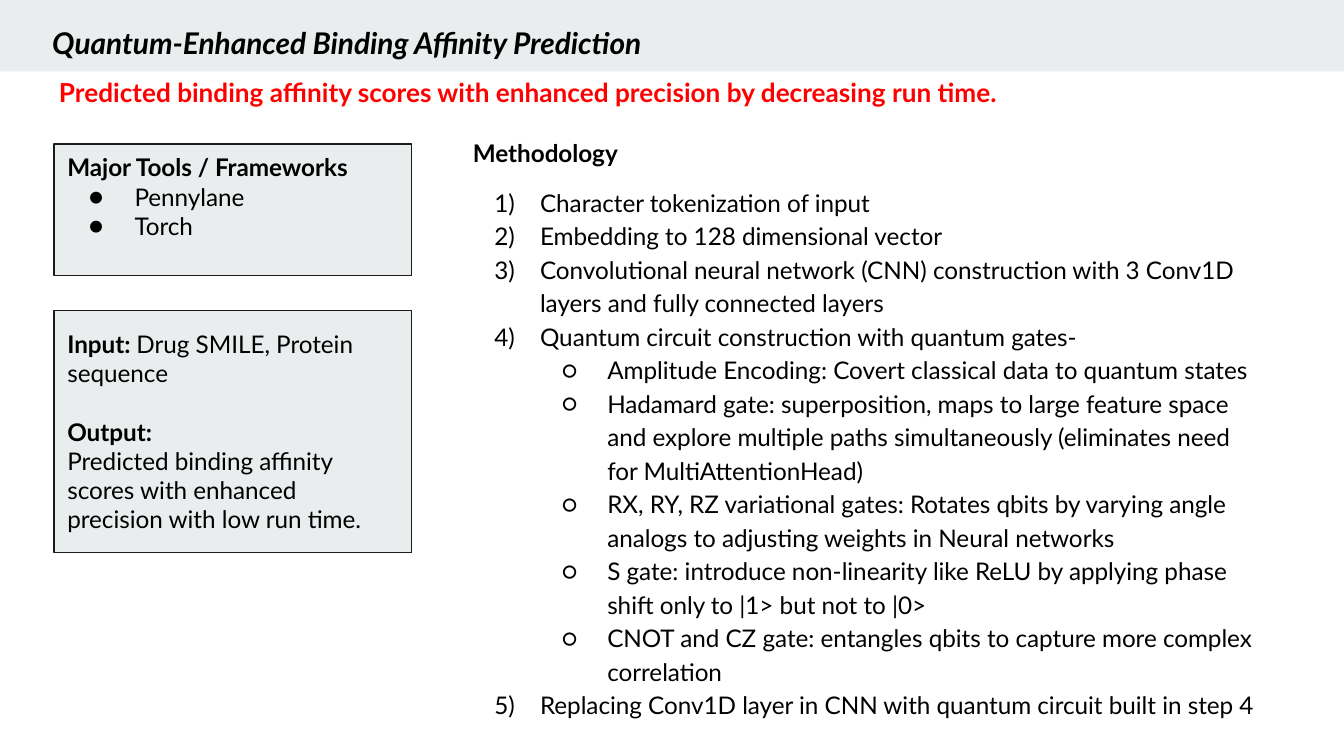
from dataclasses import dataclass
from typing import Optional

from lxml import etree
from pptx import Presentation
from pptx import util as u
from pptx.dml.color import RGBColor
from pptx.enum import shapes, text
from pptx.oxml.ns import qn

BLACK = RGBColor(0x00, 0x00, 0x00)
RED = RGBColor(0xFF, 0x00, 0x00)
PALE = RGBColor(0xE9, 0xED, 0xEE)
OUTLINE = RGBColor(0x1A, 0x1A, 0x1A)

FONT = "Lato"
WIDTH = u.Inches(10)
HEIGHT = WIDTH * 9 // 16
INSET = u.Inches(0.1)
INDENT, HANGING = u.Inches(0.5), u.Inches(0.34)
NUMBER = "arabicParenR"


@dataclass(frozen=True)
class Area:
    """A rectangle in percent of the slide's width and height."""
    left: float
    top: float
    width: float
    height: float

    def lengths(self) -> tuple[int, int, int, int]:
        return (int(WIDTH * self.left / 100), int(HEIGHT * self.top / 100),
                int(WIDTH * self.width / 100), int(HEIGHT * self.height / 100))


@dataclass(frozen=True)
class Line:
    """A paragraph: a bold lead, then plain text, with an optional list mark."""
    bold: str = ""
    plain: str = ""
    mark: Optional[str] = None
    level: int = 0
    spacing: float = 1.0
    before: float = 0


@dataclass(frozen=True)
class Style:
    size: float = 13
    color: RGBColor = BLACK
    italic: bool = False


def add_mark(paragraph, line: Line) -> None:
    properties = paragraph._p.get_or_add_pPr()
    properties.set("marL", str(INDENT * (line.level + 1)))
    properties.set("indent", str(-HANGING))
    etree.SubElement(properties, qn("a:buFont"), typeface=FONT)
    if line.mark == NUMBER:
        etree.SubElement(properties, qn("a:buAutoNum"), type=NUMBER)
    else:
        etree.SubElement(properties, qn("a:buChar"), char=line.mark)


def write(shape, lines: list[Line], style: Style = Style()) -> None:
    frame = shape.text_frame
    frame.word_wrap = True
    frame.margin_left = frame.margin_right = INSET
    frame.margin_top = frame.margin_bottom = INSET
    for index, line in enumerate(lines):
        paragraph = frame.add_paragraph() if index else frame.paragraphs[0]
        paragraph.alignment = text.PP_ALIGN.LEFT
        paragraph.level = line.level
        paragraph.line_spacing = line.spacing
        if line.before:
            paragraph.space_before = u.Pt(line.before)
        if line.mark:
            add_mark(paragraph, line)
        for words, bold in ((line.bold, True), (line.plain, False)):
            if words:
                run = paragraph.add_run()
                run.text = words
                run.font.name = FONT
                run.font.size = u.Pt(style.size)
                run.font.bold = bold
                run.font.italic = style.italic
                run.font.color.rgb = style.color


def add_panel(slide, area: Area, outlined: bool = True):
    panel = slide.shapes.add_shape(shapes.MSO_SHAPE.RECTANGLE, *area.lengths())
    panel.shadow.inherit = False
    panel.fill.solid()
    panel.fill.fore_color.rgb = PALE
    if outlined:
        panel.line.color.rgb = OUTLINE
        panel.line.width = u.Pt(0.75)
    else:
        panel.line.fill.background()
    panel.text_frame.vertical_anchor = text.MSO_ANCHOR.MIDDLE
    return panel


def add_text(slide, area: Area, lines: list[Line], style: Style = Style()) -> None:
    write(slide.shapes.add_textbox(*area.lengths()), lines, style)


def step(words: str, before: float = 0) -> Line:
    return Line(plain=words, mark=NUMBER, spacing=1.15, before=before)


def gate(words: str) -> Line:
    return Line(plain=words, mark="○", level=1, spacing=1.15)


TOOLS = [
    Line("Major Tools / Frameworks"),
    Line(plain="Pennylane", mark="●"),
    Line(plain="Torch", mark="●"),
]
INPUT_OUTPUT = [
    Line("Input: ", "Drug SMILE, Protein sequence"),
    Line("Output:", before=15.6),
    Line(plain="Predicted binding affinity scores with enhanced precision "
               "with low run time."),
]
METHODOLOGY = [
    Line("Methodology"),
    step("Character tokenization of input", before=8.6),
    step("Embedding to 128 dimensional vector"),
    step("Convolutional neural network (CNN) construction with 3 Conv1D "
         "layers and fully connected layers"),
    step("Quantum circuit construction with quantum gates-"),
    gate("Amplitude Encoding: Covert classical data to quantum states"),
    gate("Hadamard gate: superposition, maps to large feature space and explore "
         "multiple paths simultaneously (eliminates need for MultiAttentionHead)"),
    gate("RX, RY, RZ variational gates: Rotates qbits by varying angle analogs "
         "to adjusting weights in Neural networks"),
    gate("S gate: introduce non-linearity like ReLU by applying phase shift "
         "only to |1> but not to |0>"),
    gate("CNOT and CZ gate: entangles qbits to capture more complex correlation"),
    step("Replacing Conv1D layer in CNN with quantum circuit built in step 4"),
]


def main() -> None:
    presentation = Presentation()
    presentation.slide_width, presentation.slide_height = WIDTH, HEIGHT
    slide = presentation.slides.add_slide(presentation.slide_layouts[6])

    add_panel(slide, Area(0, 0, 100, 9.45), outlined=False)
    add_text(slide, Area(2.9, 1.42, 94.8, 7.82),
             [Line("Quantum-Enhanced Binding Affinity Prediction")],
             Style(size=16, italic=True))
    add_text(slide, Area(3.4, 8.36, 80.8, 4.44),
             [Line("Predicted binding affinity scores with enhanced precision "
                   "by decreasing run time.")],
             Style(size=14, color=RED))

    tools = add_panel(slide, Area(4.03, 19.04, 26.6, 17.42))
    write(tools, TOOLS)
    tools.text_frame.margin_bottom = u.Inches(0.3)
    input_output = add_panel(slide, Area(4.03, 41.08, 26.6, 32))
    write(input_output, INPUT_OUTPUT)
    input_output.text_frame.margin_right = u.Inches(0.13)
    add_text(slide, Area(34.2, 16.55, 60.2, 74.67), METHODOLOGY)

    presentation.save("out.pptx")


if __name__ == "__main__":
    main()
